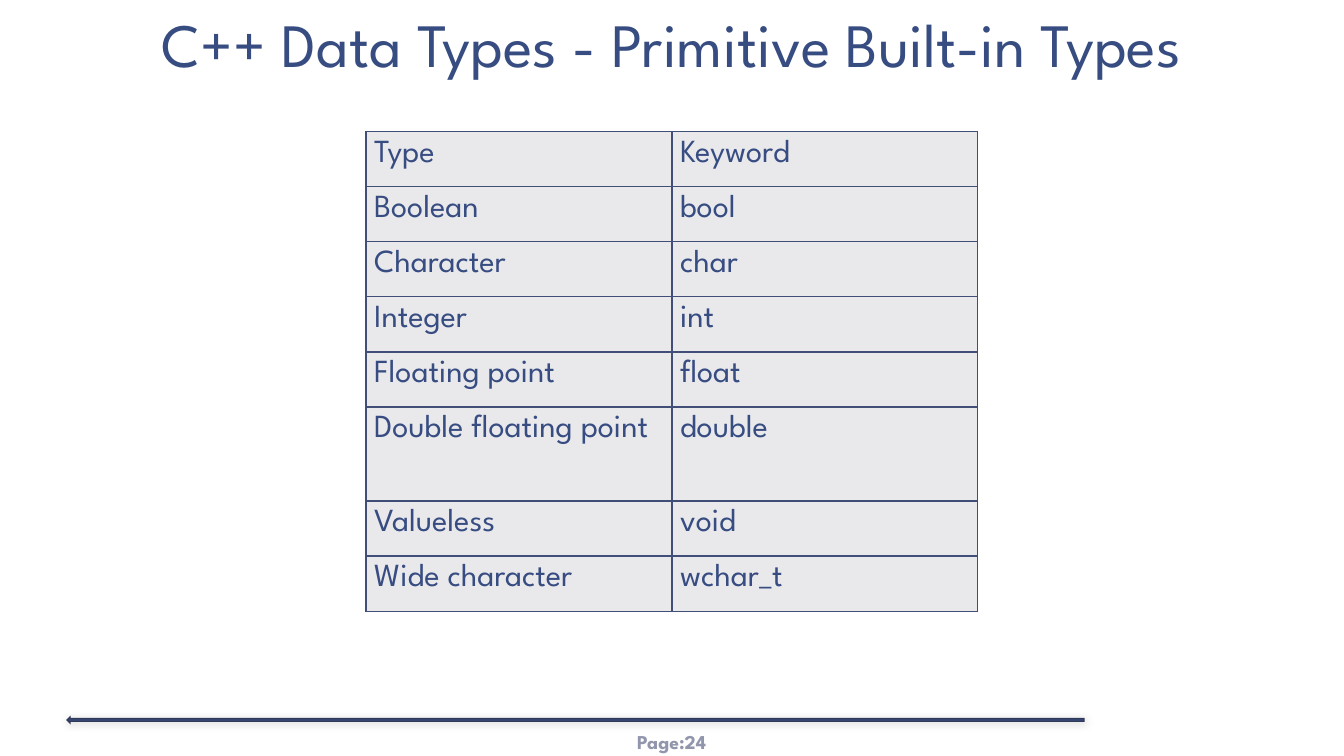
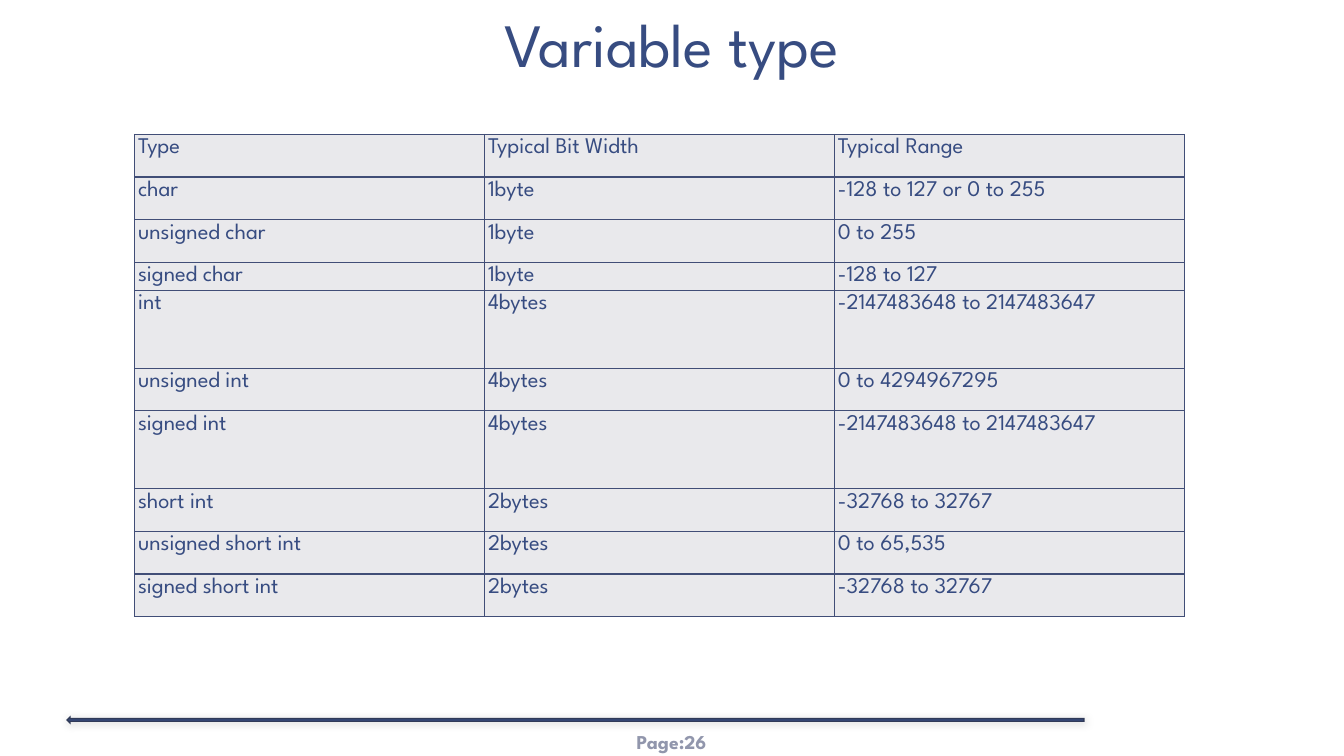
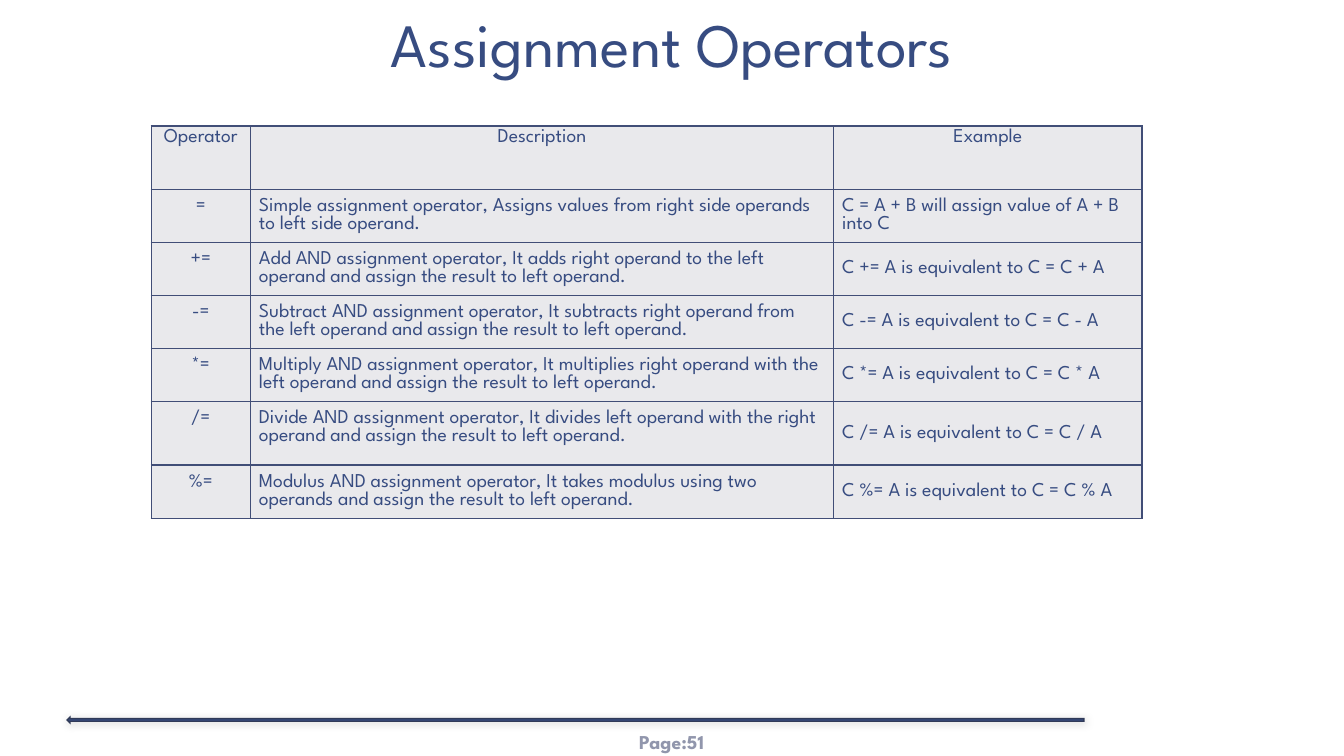
"""Build three slides of tables on C++ types and operators."""
from lxml import etree
from pptx import Presentation
from pptx.dml.color import RGBColor
from pptx.enum.shapes import MSO_SHAPE
from pptx.enum.text import MSO_ANCHOR, PP_ALIGN
from pptx.oxml.ns import qn
from pptx.util import Pt

ARROW = MSO_SHAPE.LEFT_ARROW
TOP, MID, LOW = MSO_ANCHOR.TOP, MSO_ANCHOR.MIDDLE, MSO_ANCHOR.BOTTOM
LEFT, MIDDLE = PP_ALIGN.LEFT, PP_ALIGN.CENTER
FONT = "League Spartan"
PITCH = 0.92
HUES = {"ink": "374C81", "edge": "303A58", "page": "9196AC",
        "grid": "414E77", "cell": "E9E9EC", "shade": "000000"}
SIDES = ("left", "top", "right", "bottom")

TYPES = [
    ("Type", "Keyword"),
    ("Boolean", "bool"),
    ("Character", "char"),
    ("Integer", "int"),
    ("Floating point", "float"),
    ("Double floating point", "double"),
    ("Valueless", "void"),
    ("Wide character", "wchar_t"),
]
SIZES = [
    ("Type", "Typical Bit Width", "Typical Range"),
    ("char", "1byte", "-128 to 127 or 0 to 255"),
    ("unsigned char", "1byte", "0 to 255"),
    ("signed char", "1byte", "-128 to 127"),
    ("int", "4bytes", "-2147483648 to 2147483647"),
    ("unsigned int", "4bytes", "0 to 4294967295"),
    ("signed int", "4bytes", "-2147483648 to 2147483647"),
    ("short int", "2bytes", "-32768 to 32767"),
    ("unsigned short int", "2bytes", "0 to 65,535"),
    ("signed short int", "2bytes", "-32768 to 32767"),
]
OPS = [
    ("Operator", "Description", "Example"),
    ("=", "Simple assignment operator, Assigns values from right side "
     "operands to left side operand.",
     "C = A + B will assign value of A + B into C"),
    ("+=", "Add AND assignment operator, It adds right operand to the left "
     "operand and assign the result to left operand.",
     "C += A is equivalent to C = C + A"),
    ("-=", "Subtract AND assignment operator, It subtracts right operand from "
     "the left operand and assign the result to left operand.",
     "C -= A is equivalent to C = C - A"),
    ("*=", "Multiply AND assignment operator, It multiplies right operand with "
     "the left operand and assign the result to left operand.",
     "C *= A is equivalent to C = C * A"),
    ("/=", "Divide AND assignment operator, It divides left operand with the "
     "right operand and assign the result to left operand.",
     "C /= A is equivalent to C = C / A"),
    ("%=", "Modulus AND assignment operator, It takes modulus using two "
     "operands and assign the result to left operand.",
     "C %= A is equivalent to C = C % A"),
]


def color(key):
    return RGBColor.from_string(HUES[key])


def apply(item, form):
    for name, value in form.items():
        setattr(item, name, value)


def pads(wide, high):
    return {f"margin_{side}": Pt(pad)
            for side, pad in zip(SIDES, (wide, high) * 2)}


def write(para, text, size, hue="ink", bold=False, **form):
    run = para.add_run()
    run.text = text
    apply(run.font, {"name": FONT, "size": Pt(size), "bold": bold})
    run.font.color.rgb = color(hue)
    apply(para, form)


def label(slide, spot, text, size, anchor, inset, **form):
    frame = slide.shapes.add_textbox(*map(Pt, spot)).text_frame
    apply(frame, {"word_wrap": True, "vertical_anchor": anchor, **pads(*inset)})
    write(frame.paragraphs[0], text, size, alignment=MIDDLE, **form)


def tint(parent, key):
    return etree.SubElement(parent, qn("a:srgbClr"), val=HUES[key])


def rule(slide):
    bar = slide.shapes.add_shape(ARROW, *map(Pt, (48, 512.4, 726.2, 3.8)))
    bar.fill.solid()
    bar.fill.fore_color.rgb = color("ink")
    bar.line.color.rgb = color("edge")
    bar.line.width = Pt(1)
    bar.shadow.inherit = False
    props = bar._element.spPr
    etree.SubElement(props.find(qn("a:ln")), qn("a:miter"), lim="800000")
    glow = etree.SubElement(
        props.find(qn("a:effectLst")), qn("a:outerShdw"),
        blurRad=str(Pt(6)), dist=str(Pt(1)), dir="2700000")
    etree.SubElement(tint(glow, "shade"), qn("a:alpha"), val="20000")


def border(cell):
    props = cell._tc.get_or_add_tcPr()
    for side in "LRTB":
        line = etree.SubElement(props, qn(f"a:ln{side}"), w=str(Pt(1)))
        tint(etree.SubElement(line, qn("a:solidFill")), "grid")


def fill(cell, text, size, pad, align, anchor):
    border(cell)
    cell.fill.solid()
    cell.fill.fore_color.rgb = color("cell")
    apply(cell, {"vertical_anchor": anchor, **pads(pad, pad)})
    write(cell.text_frame.paragraphs[0], text, size, alignment=align,
          line_spacing=Pt(size * PITCH))


def grid(slide, spot, cols, rows, data, size, head, body):
    shape = slide.shapes.add_table(
        len(rows), len(cols), *map(Pt, (*spot, sum(cols), sum(rows))))
    table = shape.table
    apply(table, {"first_row": False, "horz_banding": False})
    for col, wide in zip(table.columns, cols):
        col.width = Pt(wide)
    for at, (row, high) in enumerate(zip(table.rows, rows)):
        row.height = Pt(high)
        forms = body if at else [head] * len(cols)
        for cell, text, form in zip(row.cells, data[at], forms):
            fill(cell, text, size, *form)


def page(deck, title, number):
    slide = deck.slides.add_slide(deck.slide_layouts[6])
    label(slide, (416, 515.5, 127.5, 28.8), f"Page:{number}", 14, MID,
          (2.88, 1.44), hue="page", bold=True)
    rule(slide)
    label(slide, (0, 0, 960, 62), title, 44, LOW, (9.36, 5.04),
          line_spacing=0.85)
    return slide


def main():
    deck = Presentation()
    apply(deck, {"slide_width": Pt(960), "slide_height": Pt(540)})

    wide = (5.76, LEFT, TOP)
    slide = page(deck, "C++ Data Types - Primitive Built-in Types", 24)
    grid(slide, (261.5, 94), [218.5] * 2, [39.36] * 5 + [67.1] + [39.36] * 2,
         TYPES, 23, wide, [wide] * 2)

    slim = (2.6, LEFT, TOP)
    slide = page(deck, "Variable type", 26)
    grid(slide, (96, 96), [250] * 3,
         [30.5] * 3 + [20] + [55.6, 30.5] * 2 + [30.5] * 2,
         SIZES, 16, slim, [slim] * 3)

    slide = page(deck, "Assignment Operators", 51)
    grid(slide, (108, 90), [70.9, 416.6, 220.2],
         [45.3] + [37.9] * 4 + [45.3, 37.9], OPS, 14,
         (2.16, MIDDLE, TOP),
         [(6.05, MIDDLE, TOP), (6.05, LEFT, TOP), (6.05, LEFT, MID)])

    deck.save("out.pptx")


if __name__ == "__main__":
    main()
